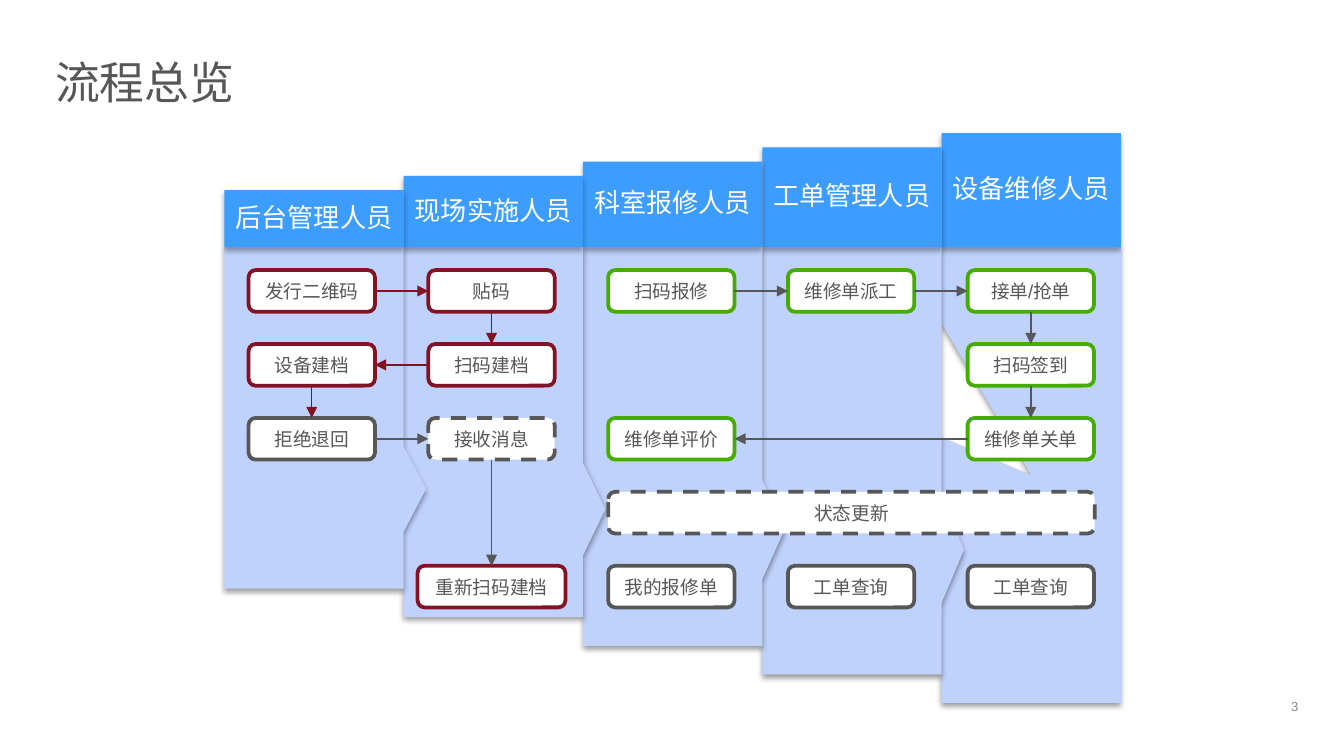
import pptx
import pptx.util
import pptx.dml.color
import pptx.enum.dml
import pptx.enum.shapes
import pptx.enum.text
import pptx.oxml
import pptx.oxml.ns
import lxml.etree

Inches = pptx.util.Inches
Pt = pptx.util.Pt
SHAPE = pptx.enum.shapes.MSO_SHAPE
ALIGN = pptx.enum.text.PP_ALIGN
ANCHOR = pptx.enum.text.MSO_ANCHOR

COLORS = {
    "text": "575757", "number": "898989", "white": "FFFFFF",
    "lane": "BFD2FC", "header": "3C9DFF", "shadow": "000000",
    "setup": "841225", "setup_arrow": "840F22", "repair": "46AD00", "neutral": "575757",
}
FONT = "Arial"
TOP, LEFT, BOTTOM, RIGHT = range(4)

ROLES = ["后台管理人员", "现场实施人员", "科室报修人员", "工单管理人员", "设备维修人员"]
HEADER_HEIGHT = 0.85
HEADER_STEP = HEADER_HEIGHT / 8

STEP_WIDTH, STEP_HEIGHT = 0.94, 0.31
COLUMN_GAP, ROW_GAP = 5.35 / 4, 0.55
STEPS = {
    "issue": ("发行二维码", 0, 0, "setup"),
    "file": ("设备建档", 0, 1, "setup"),
    "reject": ("拒绝退回", 0, 2, "neutral"),
    "stick": ("贴码", 1, 0, "setup"),
    "scan_file": ("扫码建档", 1, 1, "setup"),
    "message": ("接收消息", 1, 2, "neutral"),
    "rescan": ("重新扫码建档", 1, 4, "setup"),
    "report": ("扫码报修", 2, 0, "repair"),
    "review": ("维修单评价", 2, 2, "repair"),
    "status": ("状态更新", 2, 3, "neutral"),
    "my_orders": ("我的报修单", 2, 4, "neutral"),
    "dispatch": ("维修单派工", 3, 0, "repair"),
    "manager_query": ("工单查询", 3, 4, "neutral"),
    "accept": ("接单/抢单", 4, 0, "repair"),
    "sign_in": ("扫码签到", 4, 1, "repair"),
    "close": ("维修单关单", 4, 2, "repair"),
    "repairer_query": ("工单查询", 4, 4, "neutral"),
}
WIDE_STEPS = {"rescan": (-0.08, 1.1), "status": (0, 3.62)}
DASHED_STEPS = {"message", "status"}
ARROWS = [
    ("issue", RIGHT, "stick", LEFT, "setup", 1),
    ("stick", BOTTOM, "scan_file", TOP, "setup_arrow", 0.75),
    ("scan_file", LEFT, "file", RIGHT, "setup_arrow", 0.75),
    ("file", BOTTOM, "reject", TOP, "setup_arrow", 0.75),
    ("reject", RIGHT, "message", LEFT, "neutral", 1),
    ("message", BOTTOM, "rescan", TOP, "neutral", 1),
    ("report", RIGHT, "dispatch", LEFT, "neutral", 1),
    ("dispatch", RIGHT, "accept", LEFT, "neutral", 1),
    ("accept", BOTTOM, "sign_in", TOP, "neutral", 1),
    ("sign_in", BOTTOM, "close", TOP, "neutral", 1),
    ("close", LEFT, "review", RIGHT, "neutral", 1),
]


def color(name):
    return pptx.dml.color.RGBColor.from_string(COLORS[name])


def write(shape, text, size, ink, align, anchor, inset=None, spacing=None):
    frame = shape.text_frame
    frame.word_wrap = True
    frame.vertical_anchor = anchor
    if inset is not None:
        frame.margin_left = frame.margin_right = Inches(inset)
        frame.margin_top = frame.margin_bottom = Inches(inset)
    frame.text = text
    paragraph = frame.paragraphs[0]
    paragraph.alignment = align
    paragraph.line_spacing = spacing
    font = paragraph.runs[0].font
    font.name, font.size = FONT, Pt(size)
    font.color.rgb = color(ink)


def add_label(slide, box, text, size, ink, align, anchor=ANCHOR.TOP, inset=0, spacing=None):
    label = slide.shapes.add_textbox(*map(Inches, box))
    write(label, text, size, ink, align, anchor, inset, spacing)


def add_panel(slide, kind, box, fill, distance, opacity):
    panel = slide.shapes.add_shape(kind, *map(Inches, box))
    panel.fill.solid()
    panel.fill.fore_color.rgb = color(fill)
    panel.line.fill.background()
    effects = pptx.oxml.parse_xml(
        f'<a:effectLst {pptx.oxml.ns.nsdecls("a")}>'
        f'<a:outerShdw blurRad="{Pt(3.1)}" dist="{Pt(distance)}" dir="5400000" rotWithShape="0">'
        f'<a:srgbClr val="{COLORS["shadow"]}"><a:alpha val="{opacity * 1000}"/></a:srgbClr>'
        '</a:outerShdw></a:effectLst>')
    panel._element.spPr.append(effects)
    return panel


def add_lane(slide, box, role, header_height, pointer):
    left, top, width, height = box
    body = add_panel(slide, SHAPE.RECTANGULAR_CALLOUT,
                     (left, top + header_height, width, height - header_height), "lane", 1.6, 38)
    body.adjustments[0], body.adjustments[1] = pointer
    header_box = (left, top, width, header_height)
    add_panel(slide, SHAPE.RECTANGLE, header_box, "header", 1.8, 35)
    add_label(slide, header_box, role, 14, "white", ALIGN.CENTER, ANCHOR.MIDDLE, 0.05, 0.9)


def add_lanes(slide, box):
    left, top, width, height = box
    lane_width = width / len(ROLES)
    last = len(ROLES) - 1
    for column in range(last, -1, -1):
        drop = (last - column) * HEADER_STEP
        lane_box = (left + column * lane_width, top + drop, lane_width, height - 3 * drop)
        pointer = (0, 0) if column == last else (0.625, 0.208)
        add_lane(slide, lane_box, ROLES[column], HEADER_HEIGHT - drop, pointer)


def add_step(slide, box, text, outline, dashed):
    step = slide.shapes.add_shape(SHAPE.ROUNDED_RECTANGLE, *map(Inches, box))
    step.shadow.inherit = False
    step.fill.solid()
    step.fill.fore_color.rgb = color("white")
    step.line.color.rgb = color(outline)
    step.line.width = Pt(2)
    if dashed:
        step.line.dash_style = pptx.enum.dml.MSO_LINE.DASH
    write(step, text, 10, "text", ALIGN.CENTER, ANCHOR.MIDDLE)
    return step


def add_arrow(slide, source, source_side, target, target_side, ink, width):
    arrow = slide.shapes.add_connector(pptx.enum.shapes.MSO_CONNECTOR.STRAIGHT, 0, 0, 0, 0)
    arrow.begin_connect(source, source_side)
    arrow.end_connect(target, target_side)
    arrow.line.color.rgb = color(ink)
    arrow.line.width = Pt(width)
    qn = pptx.oxml.ns.qn
    lxml.etree.SubElement(arrow.line._get_or_add_ln(), qn("a:tailEnd"), type="triangle")
    lxml.etree.SubElement(arrow._element.spPr, qn("a:effectLst"))


def add_flow(slide, left, top):
    steps = {}
    for key, (text, column, row, outline) in STEPS.items():
        shift, width = WIDE_STEPS.get(key, (0, STEP_WIDTH))
        box = (left + column * COLUMN_GAP + shift, top + row * ROW_GAP, width, STEP_HEIGHT)
        steps[key] = add_step(slide, box, text, outline, key in DASHED_STEPS)
    for source, source_side, target, target_side, ink, width in ARROWS:
        add_arrow(slide, steps[source], source_side, steps[target], target_side, ink, width)


def main():
    deck = pptx.Presentation()
    deck.slide_width = Inches(10)
    deck.slide_height = deck.slide_width * 9 // 16
    slide = deck.slides.add_slide(deck.slide_layouts[6])
    add_label(slide, (0.41, 0.45, 9.13, 0.84), "流程总览", 24, "text", ALIGN.LEFT, spacing=0.9)
    add_label(slide, (9.36, 5.2, 0.3, 0.11), "3", 7, "number", ALIGN.RIGHT)
    add_lanes(slide, (1.67, 0.99, 6.67, 4.24))
    add_flow(slide, 1.85, 2.01)
    deck.save("out.pptx")


if __name__ == "__main__":
    main()
